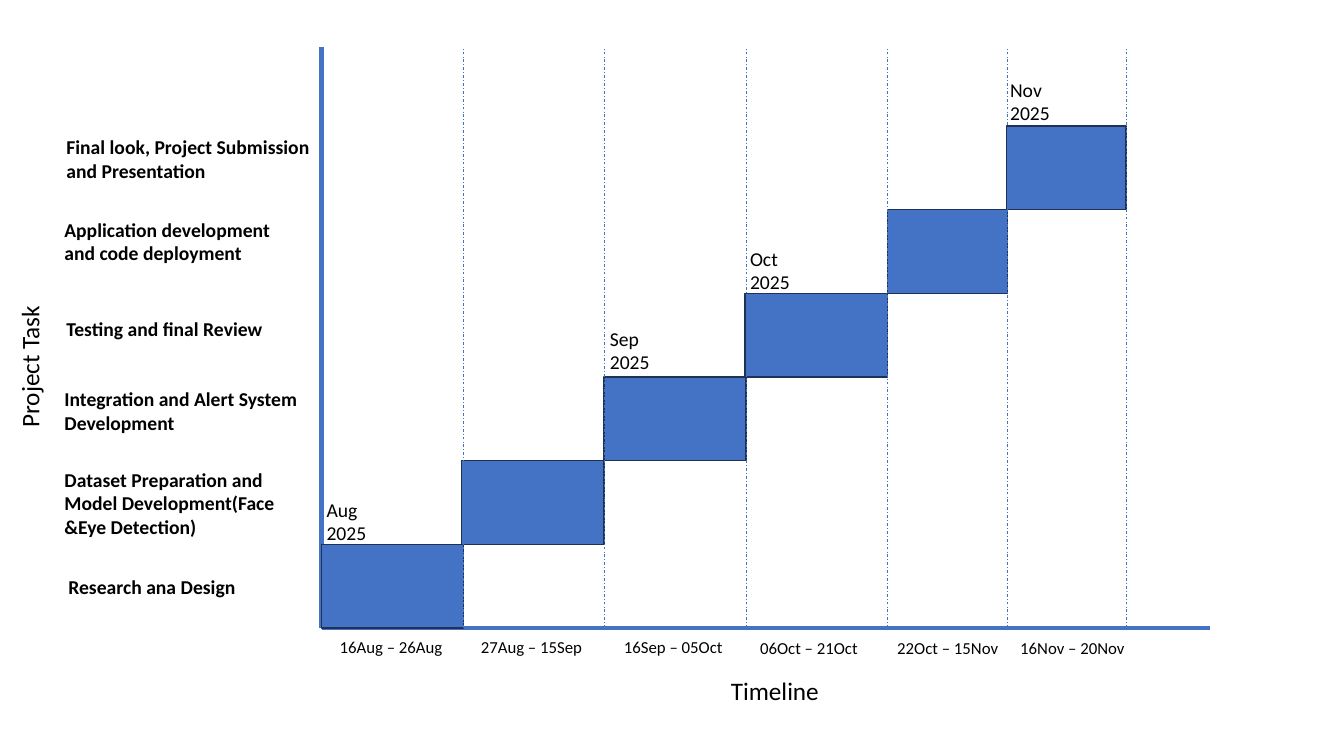
from dataclasses import dataclass

import pptx
import pptx.dml.color
import pptx.enum.dml
import pptx.enum.shapes
import pptx.enum.text
import pptx.oxml
import pptx.oxml.ns
import pptx.shapes.connector
import pptx.slide
import pptx.util

Inches = pptx.util.Inches
DASH_DOT = pptx.enum.dml.MSO_LINE.DASH_DOT


@dataclass(frozen=True)
class Theme:
    font: str = "Calibri"
    blue: str = "4472C4"
    outline: str = "1E3256"
    text: str = "000000"
    date_size: int = 12
    label_size: int = 14
    title_size: int = 18
    axis_width: float = 3.25
    bar_line_width: float = 1
    divider_width: float = 0.5


@dataclass(frozen=True)
class Label:
    text: str
    left: float
    top: float
    width: float
    height: float
    wrap: bool = True


@dataclass(frozen=True)
class Stage:
    left: float
    width: float
    task: Label
    dates: Label


THEME = Theme()
AXIS_LEFT, AXIS_RIGHT, AXIS_TOP, BASELINE = 3.19, 12, 0.47, 6.23
ROW_HEIGHT = 0.83

STAGES = [
    Stage(3.19, 1.41, Label("Research ana Design", 0.58, 5.65, 1.87, 0.34, False),
          Label("16Aug – 26Aug", 3.27, 6.27, 1.39, 0.3)),
    Stage(4.58, 1.41,
          Label("Dataset Preparation and Model Development(Face &Eye Detection)",
                0.54, 4.59, 2.59, 0.81),
          Label("27Aug – 15Sep", 4.67, 6.27, 1.22, 0.3, False)),
    Stage(5.99, 1.41,
          Label("Integration and Alert System Development", 0.54, 3.79, 2.52, 0.57),
          Label("16Sep – 05Oct", 6.09, 6.27, 1.2, 0.3, False)),
    Stage(7.39, 1.41, Label("Testing and final Review", 0.56, 3.09, 2.16, 0.34, False),
          Label("06Oct – 21Oct", 7.44, 6.28, 1.19, 0.3, False)),
    Stage(8.8, 1.19,
          Label("Application development and code deployment", 0.54, 2.11, 2.53, 0.57),
          Label("22Oct – 15Nov", 8.8, 6.28, 1.22, 0.3, False)),
    Stage(9.98, 1.19,
          Label("Final look, Project Submission and Presentation",
                0.56, 1.29, 2.79, 0.57),
          Label("16Nov – 20Nov", 10.02, 6.28, 1.25, 0.3, False)),
]
MONTHS = [
    Label("Aug 2025", 3.14, 4.89, 0.78, 0.57),
    Label("Sep 2025", 5.95, 3.19, 0.69, 0.57),
    Label("Oct 2025", 7.34, 2.4, 0.69, 0.57),
    Label("Nov 2025", 9.92, 0.72, 0.87, 0.57),
]
TIMELINE_TITLE = Label("Timeline", 7.15, 6.65, 1.47, 0.4)
TASK_TITLE = Label("Project Task", -0.42, 3.43, 1.42, 0.4, False)

TEXT_SHADOW = (
    f'<a:effectLst {pptx.oxml.ns.nsdecls("a")}>'
    '<a:outerShdw blurRad="50800" dist="38100" dir="5400000" algn="t" rotWithShape="0">'
    '<a:srgbClr val="000000"><a:alpha val="40000"/></a:srgbClr>'
    "</a:outerShdw></a:effectLst>"
)


def rgb(value: str) -> pptx.dml.color.RGBColor:
    return pptx.dml.color.RGBColor.from_string(value)


def add_line(page: pptx.slide.Slide, start: tuple[float, float],
             end: tuple[float, float], width: float) -> pptx.shapes.connector.Connector:
    line = page.shapes.add_connector(
        pptx.enum.shapes.MSO_CONNECTOR.STRAIGHT, *map(Inches, start + end))
    line.line.color.rgb = rgb(THEME.blue)
    line.line.width = pptx.util.Pt(width)
    pptx.oxml.ns.qn("a:effectLst")
    line._element.spPr.append(
        pptx.oxml.parse_xml(f'<a:effectLst {pptx.oxml.ns.nsdecls("a")}/>'))
    return line


def add_label(page: pptx.slide.Slide, label: Label, size: int, bold: bool = False,
              shadow: bool = False, rotation: float = 0) -> None:
    box = page.shapes.add_textbox(
        *map(Inches, (label.left, label.top, label.width, label.height)))
    box.rotation = rotation
    frame = box.text_frame
    frame.word_wrap = label.wrap
    frame.auto_size = pptx.enum.text.MSO_AUTO_SIZE.SHAPE_TO_FIT_TEXT
    span = frame.paragraphs[0].add_run()
    span.text = label.text
    font_format = {"name": THEME.font, "size": pptx.util.Pt(size), "bold": bold}
    for name, value in font_format.items():
        setattr(span.font, name, value)
    span.font.color.rgb = rgb(THEME.text)
    if shadow:
        fill = span.font._element.find(pptx.oxml.ns.qn("a:solidFill"))
        fill.addnext(pptx.oxml.parse_xml(TEXT_SHADOW))


def add_bar(page: pptx.slide.Slide, stage: Stage, row: int) -> None:
    """Draw a stage's bar, with row 0 resting on the timeline axis."""
    top = BASELINE - ROW_HEIGHT * (row + 1)
    bar = page.shapes.add_shape(
        pptx.enum.shapes.MSO_SHAPE.RECTANGLE,
        *map(Inches, (stage.left, top, stage.width, ROW_HEIGHT)))
    bar.shadow.inherit = False
    bar.fill.solid()
    bar.fill.fore_color.rgb = rgb(THEME.blue)
    bar.line.color.rgb = rgb(THEME.outline)
    bar.line.width = pptx.util.Pt(THEME.bar_line_width)


def main() -> None:
    deck = pptx.Presentation()
    deck.slide_width, deck.slide_height = Inches(13.33), Inches(7.5)
    page = deck.slides.add_slide(deck.slide_layouts[6])

    origin = (AXIS_LEFT, BASELINE)
    add_line(page, (AXIS_LEFT, AXIS_TOP), origin, THEME.axis_width)
    add_line(page, origin, (AXIS_RIGHT, BASELINE), THEME.axis_width)

    for row, stage in enumerate(STAGES):
        add_bar(page, stage, row)
        add_label(page, stage.dates, THEME.date_size)
        add_label(page, stage.task, THEME.label_size, bold=True)
    for stage in STAGES:
        right = stage.left + stage.width
        divider = add_line(page, (right, BASELINE), (right, AXIS_TOP),
                           THEME.divider_width)
        divider.line.dash_style = DASH_DOT
    for month in MONTHS:
        add_label(page, month, THEME.label_size)
    add_label(page, TIMELINE_TITLE, THEME.title_size, shadow=True)
    add_label(page, TASK_TITLE, THEME.title_size, shadow=True, rotation=270)

    deck.save("out.pptx")


if __name__ == "__main__":
    main()
